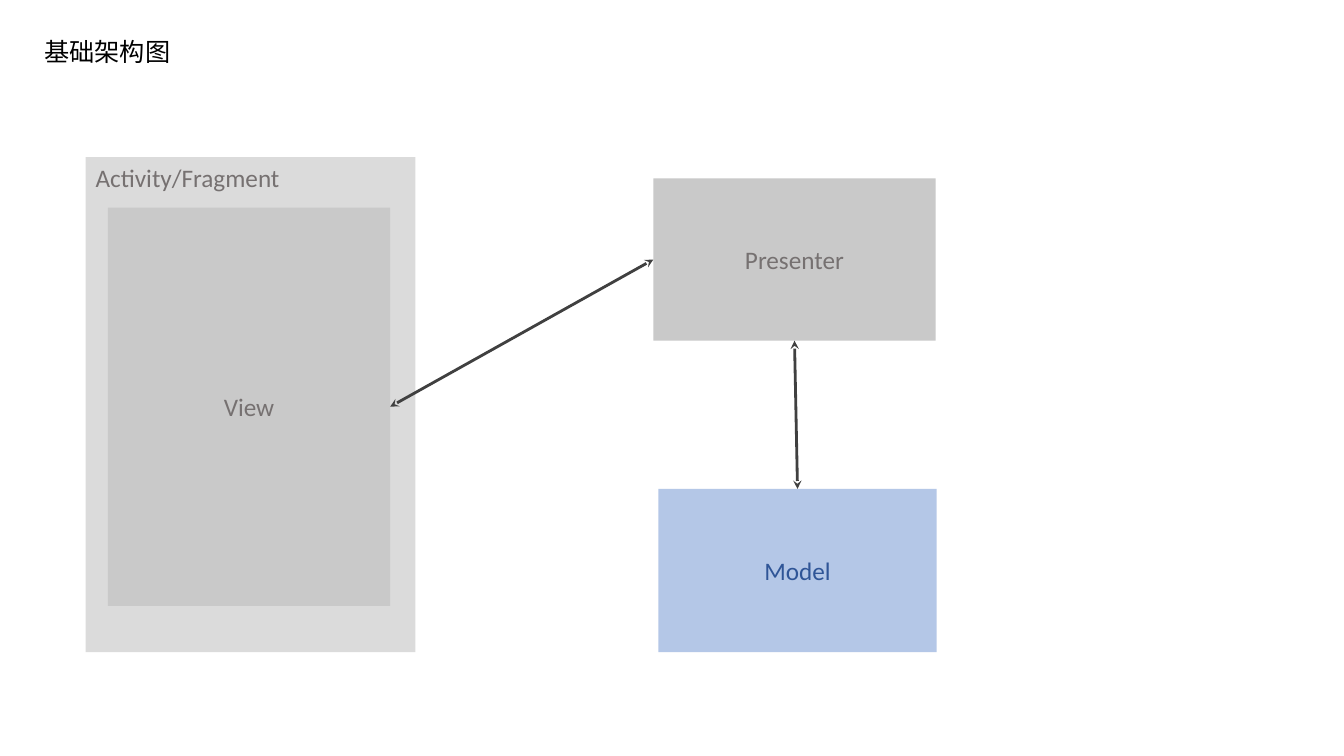
from lxml import etree
from pptx import Presentation
from pptx.dml.color import RGBColor
from pptx.enum.shapes import MSO_CONNECTOR, MSO_SHAPE
from pptx.enum.text import MSO_ANCHOR, MSO_AUTO_SIZE, PP_ALIGN
from pptx.oxml.ns import qn
from pptx.util import Pt

PX = 9144  # EMU per px, 100 px to the inch

BLACK = RGBColor(0x00, 0x00, 0x00)
PANEL_GRAY = RGBColor(0xDB, 0xDB, 0xDB)
BOX_GRAY = RGBColor(0xC9, 0xC9, 0xC9)
TEXT_GRAY = RGBColor(0x76, 0x71, 0x71)
BOX_BLUE = RGBColor(0xB4, 0xC7, 0xE7)
TEXT_BLUE = RGBColor(0x2F, 0x55, 0x97)
ARROW_GRAY = RGBColor(0x40, 0x40, 0x40)

# Connection sites of a rectangle
TOP, LEFT, BOTTOM, RIGHT = range(4)


def write_text(shape, text, color=TEXT_GRAY, align=PP_ALIGN.LEFT,
               anchor=MSO_ANCHOR.TOP, wrap=False):
    frame = shape.text_frame
    frame.auto_size = MSO_AUTO_SIZE.NONE if wrap else MSO_AUTO_SIZE.SHAPE_TO_FIT_TEXT
    frame.word_wrap = wrap
    frame.vertical_anchor = anchor
    paragraph = frame.paragraphs[0]
    paragraph.alignment = align
    run = paragraph.add_run()
    run.text = text
    run.font.name = "Calibri"
    run.font.size = Pt(18)
    run.font.color.rgb = color


def add_box(left, top, width, height, fill):
    box = slide.shapes.add_shape(
        MSO_SHAPE.RECTANGLE, left * PX, top * PX, width * PX, height * PX)
    box.shadow.inherit = False
    box.fill.solid()
    box.fill.fore_color.rgb = fill
    box.line.fill.background()
    return box


presentation = Presentation()
presentation.slide_width = 1333 * PX
presentation.slide_height = 750 * PX
slide = presentation.slides.add_slide(presentation.slide_layouts[5])

# Title
title = slide.shapes.title
title.left, title.top, title.width, title.height = 34 * PX, 31 * PX, 146 * PX, 40 * PX
write_text(title, "基础架构图", color=BLACK)

# Activity panel with its label
add_box(85, 156, 327, 491, PANEL_GRAY)
panel_label = slide.shapes.add_textbox(85 * PX, 156 * PX, 205 * PX, 40 * PX)
write_text(panel_label, "Activity/Fragment")

# Architecture layers
layers = {}
for name, bounds, fill, color in [
    ("View", (107, 206, 280, 395), BOX_GRAY, TEXT_GRAY),
    ("Presenter", (648, 177, 280, 161), BOX_GRAY, TEXT_GRAY),
    ("Model", (653, 485, 276, 162), BOX_BLUE, TEXT_BLUE),
]:
    layers[name] = add_box(*bounds, fill)
    write_text(layers[name], name, color=color, align=PP_ALIGN.CENTER,
               anchor=MSO_ANCHOR.MIDDLE, wrap=True)

# Two-way arrows between layers
for start, start_site, end, end_site in [
    ("View", RIGHT, "Presenter", LEFT),
    ("Model", TOP, "Presenter", BOTTOM),
]:
    arrow = slide.shapes.add_connector(MSO_CONNECTOR.STRAIGHT, 0, 0, 0, 0)
    arrow.begin_connect(layers[start], start_site)
    arrow.end_connect(layers[end], end_site)
    arrow.line.color.rgb = ARROW_GRAY
    arrow.line.width = Pt(2)
    line = arrow.line._get_or_add_ln()
    for tag in ("a:headEnd", "a:tailEnd"):
        etree.SubElement(line, qn(tag), type="stealth")
    etree.SubElement(arrow._element.spPr, qn("a:effectLst"))

presentation.save("out.pptx")
